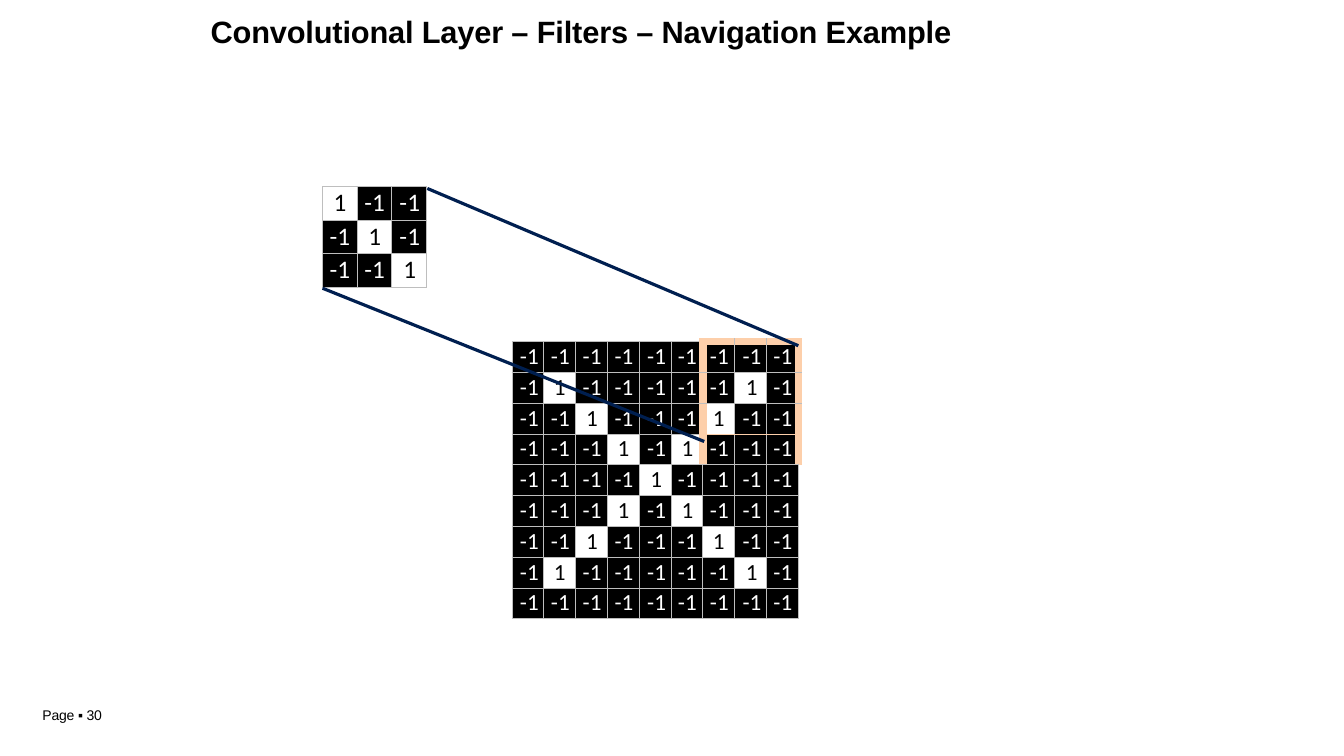
from lxml import etree
from pptx import Presentation
from pptx import util as u
from pptx.dml.color import RGBColor
from pptx.enum import shapes, text
from pptx.oxml.ns import qn

BLACK, WHITE, GRID, NAVY, PEACH = "000000", "FFFFFF", "BEBEBE", "001F50", "FDCFAA"
ALIGN = {"l": text.PP_ALIGN.LEFT, "c": text.PP_ALIGN.CENTER, "r": text.PP_ALIGN.RIGHT}


def color(value):
    return RGBColor.from_string(value)


class Board:
    """Style and current slide; lengths are percent of the slide's size."""

    def __init__(self, deck):
        self.deck = deck
        self.page = deck.slides.add_slide(deck.slide_layouts[5])

    def x(self, share):
        return round(self.deck.slide_width * share / 100)

    def y(self, share):
        return round(self.deck.slide_height * share / 100)

    def area(self, left, top, width, height):
        return self.x(left), self.y(top), self.x(width), self.y(height)

    def add_words(self, para, words, size, font, ink=BLACK, bold=False, spacing=0,
                  align="l", indent=0.01, before=0.0):
        para.alignment = ALIGN[align]
        para._p.get_or_add_pPr().set("marL", str(u.Inches(indent)))
        para.space_before = u.Pt(before)
        span = para.add_run()
        span.text = words
        span.font.size, span.font.name, span.font.bold = u.Pt(size), font, bold
        span.font.color.rgb = color(ink)
        if spacing:
            span._r.get_or_add_rPr().set("spc", str(spacing))

    def frame(self, box, top=0.0):
        frame = box.text_frame
        frame.word_wrap = True
        frame.auto_size = text.MSO_AUTO_SIZE.SHAPE_TO_FIT_TEXT
        frame.vertical_anchor = text.MSO_ANCHOR.TOP
        frame.margin_left = frame.margin_right = frame.margin_bottom = 0
        frame.margin_top = u.Inches(top)
        return frame.paragraphs[0]

    def title(self, words, area):
        box = self.page.shapes.title
        box.left, box.top, box.width, box.height = self.area(*area)
        self.add_words(self.frame(box, 0.01), words, 22, "Arial", bold=True,
                       spacing=-10, before=0.9)

    def label(self, words, area):
        box = self.page.shapes.add_textbox(*self.area(*area))
        self.add_words(self.frame(box), words, 10, "Arial", spacing=-10)

    def line(self, start, end):
        line = self.page.shapes.add_connector(
            shapes.MSO_CONNECTOR.STRAIGHT, self.x(start[0]), self.y(start[1]),
            self.x(end[0]), self.y(end[1]))
        line.line.color.rgb = color(NAVY)
        line.line.width = u.Pt(2.28)
        etree.SubElement(line._element.spPr, qn("a:effectLst"))

    def border(self, cell, side, ink, width):
        edge = etree.SubElement(cell._tc.get_or_add_tcPr(), qn(f"a:ln{side}"),
                                w=str(u.Pt(width)))
        fill = etree.SubElement(edge, qn("a:solidFill"))
        etree.SubElement(fill, qn("a:srgbClr"), val=ink)

    def matrix(self, area, aligns, is_one, size, one_indent, edge):
        """Square table of 1 on white and -1 on black."""
        count = len(aligns)
        left, top, width, height = self.area(*area)
        table = self.page.shapes.add_table(count, count, left, top, width, height).table
        table.first_row = table.horz_banding = False
        for part in table.columns:
            part.width = width // count
        for part in table.rows:
            part.height = height // count
        for row in range(count):
            for col, align in enumerate(aligns):
                cell, one = table.cell(row, col), is_one(row, col)
                for side in "LRTB":
                    self.border(cell, side, *edge(row, col, side))
                cell.fill.solid()
                cell.fill.fore_color.rgb = color(WHITE if one else BLACK)
                cell.margin_left = cell.margin_bottom = 0
                cell.margin_top = u.Inches(0.01)
                cell.margin_right = u.Inches((0.09 if one else 0.05) if align == "r" else 0)
                indent = {"l": one_indent if one else 0.07, "c": 0.01, "r": 0}[align]
                self.add_words(cell.text_frame.paragraphs[0], "1" if one else "-1",
                               size, "Calibri", BLACK if one else WHITE,
                               spacing=0 if one else 10, align=align,
                               indent=indent, before=0.7)


def plain_edge(row, col, side):
    return GRID, 0.75


def window_edge(row, col, side):
    """Thick frame around the window at the upper right of the image."""
    if row < 4 and (col, side) in {(5, "R"), (6, "L"), (8, "R")}:
        return PEACH, 6
    if col > 5 and (row, side) == (0, "T"):
        return PEACH, 6
    if col > 5 and (row, side) in {(2, "B"), (3, "T")}:
        return PEACH, 0.75
    return GRID, 0.75


def main():
    deck = Presentation()
    deck.slide_width, deck.slide_height = u.Inches(13.33), u.Inches(7.5)
    board = Board(deck)

    # Title
    board.title("Convolutional Layer – Filters – Navigation Example", (15.6, 1.6, 56.1, 5.07))

    # Filter: ones on the diagonal
    board.matrix((24, 24.67, 7.75, 13.33), "llc", lambda row, col: row == col,
                 18, 0.11, plain_edge)

    # Image: ones form an X inside a border of one cell
    board.matrix((38.1, 45.2, 21.3, 36.67), "rlclrclrc",
                 lambda row, col: 0 < row < 8 and col in (row, 8 - row),
                 16.5, 0.1, window_edge)

    # Lines from the filter to the window
    board.line((59.4, 45.73), (31.8, 24.93))
    board.line((52.4, 58.4), (24, 38.13))

    # Page number
    board.label("Page ▪ 30", (3.08, 93.47, 5.03, 2.27))
    deck.save("out.pptx")


if __name__ == "__main__":
    main()
